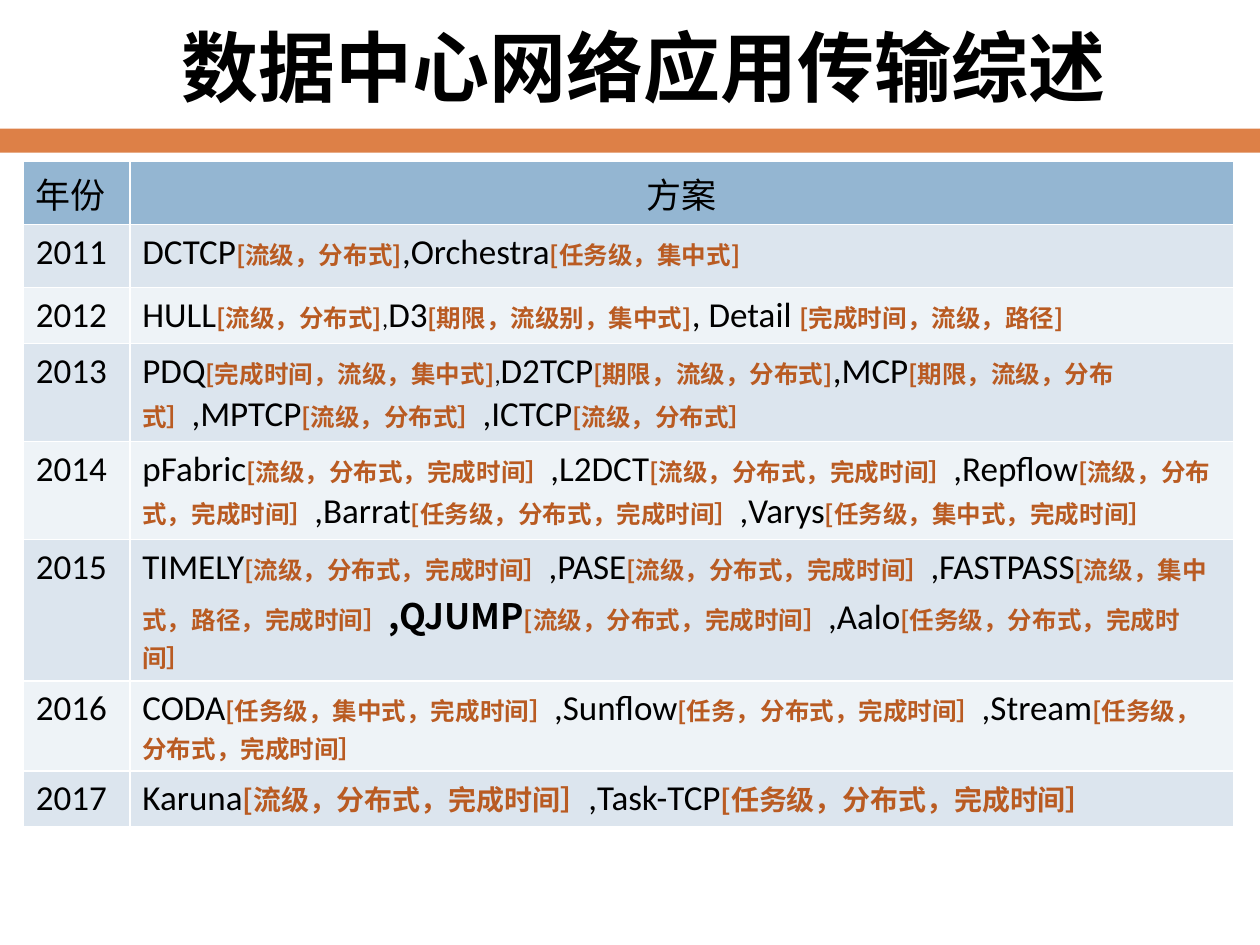
from lxml.etree import SubElement
from pptx import Presentation
from pptx.dml.color import RGBColor
from pptx.enum.shapes import MSO_SHAPE
from pptx.enum.text import MSO_ANCHOR, PP_ALIGN
from pptx.oxml.ns import qn
from pptx.util import Pt

COLORS = {"bar": "DD8047", "header": "94B6D2", "odd": "DCE5EE",
          "even": "EEF3F7", "text": "000000", "tag": "B95B22"}
CJK = "Noto Sans CJK SC"
FLOW = "[流级，分布式，完成时间］"
TASK = "[任务级，分布式，完成时间］"
TASK_CENTRAL = "[任务级，集中式，完成时间］"

# Year, row height, tag size, then pairs of scheme and tag
SCHEMES = [
    ("2011", 36, 14, [("DCTCP", "[流级，分布式]"), (",Orchestra", "[任务级，集中式]")]),
    ("2012", 32, 14, [("HULL", "[流级，分布式]"), (",D3", "[期限，流级别，集中式]"),
                      (", Detail ", "[完成时间，流级，路径]")]),
    ("2013", 56, 14, [("PDQ", "[完成时间，流级，集中式]"), (",D2TCP", "[期限，流级，分布式]"),
                      (",MCP", "[期限，流级，分布式］"), (",MPTCP", "[流级，分布式］"),
                      (",ICTCP", "[流级，分布式］")]),
    ("2014", 56, 14, [("pFabric", FLOW), (",L2DCT", FLOW), (",Repflow", FLOW),
                      (",Barrat", TASK), (",Varys", TASK_CENTRAL)]),
    ("2015", 81, 14, [("TIMELY", FLOW), (",PASE", FLOW),
                      (",FASTPASS", "[流级，集中式，路径，完成时间］"),
                      (",QJUMP", FLOW), (",Aalo", TASK)]),
    ("2016", 51.5, 14, [("CODA", TASK_CENTRAL), (",Sunflow", "[任务，分布式，完成时间］"),
                        (",Stream", TASK)]),
    ("2017", 32, 16, [("Karuna", FLOW), (",Task-TCP", TASK)]),
]
SMALL_COMMA = {",D3", ",D2TCP"}
BOLD_NAMES = {",QJUMP"}


def add_run(p, text, size, color="text", bold=False, font="Calibri"):
    r = p.add_run()
    r.text = text
    r.font.size = Pt(size)
    r.font.bold = bold
    r.font.color.rgb = RGBColor.from_string(COLORS[color])
    r.font.name = font
    SubElement(r.font._element, qn("a:ea")).set("typeface", CJK)


def fill_cell(cell, color):
    cell.fill.solid()
    cell.fill.fore_color.rgb = RGBColor.from_string(COLORS[color])
    return cell.text_frame.paragraphs[0]


prs = Presentation()
prs.slide_width, prs.slide_height = Pt(720), Pt(540)
s = prs.slides.add_slide(prs.slide_layouts[6])

# Bar under the title
bar = s.shapes.add_shape(MSO_SHAPE.RECTANGLE, 0, Pt(73.5), Pt(720), Pt(13.7))
bar.shadow.inherit = False
bar.fill.solid()
bar.fill.fore_color.rgb = RGBColor.from_string(COLORS["bar"])
bar.line.fill.background()

# Title
tf = s.shapes.add_textbox(Pt(24), Pt(10), Pt(681), Pt(55.5)).text_frame
tf.word_wrap = True
tf.vertical_anchor = MSO_ANCHOR.MIDDLE
tf.margin_left = Pt(13.7)
p = tf.paragraphs[0]
p.alignment = PP_ALIGN.CENTER
add_run(p, "数据中心网络应用传输综述", 44, bold=True, font=CJK)

# Table and header row
table = s.shapes.add_table(len(SCHEMES) + 1, 2, Pt(13.3), Pt(92.3),
                           Pt(692), Pt(380.5)).table
table.columns[0].width, table.columns[1].width = Pt(60.9), Pt(631.1)
table.rows[0].height = Pt(36)
for col, label in enumerate(["年份", "方案"]):
    p = fill_cell(table.cell(0, col), "header")
    add_run(p, label, 20)
p.alignment = PP_ALIGN.CENTER

# One row per year
for row, (year, height, tag_size, pairs) in enumerate(SCHEMES, start=1):
    band = "odd" if row % 2 else "even"
    table.rows[row].height = Pt(height)
    add_run(fill_cell(table.cell(row, 0), band), year, 20)
    p = fill_cell(table.cell(row, 1), band)
    for name, tag in pairs:
        if name in SMALL_COMMA:
            add_run(p, ",", 14)
            name = name[1:]
        bold = name in BOLD_NAMES
        add_run(p, name, 20, bold=bold, font=CJK if bold else "Calibri")
        add_run(p, tag, tag_size, "tag", True, CJK)

prs.save("out.pptx")
